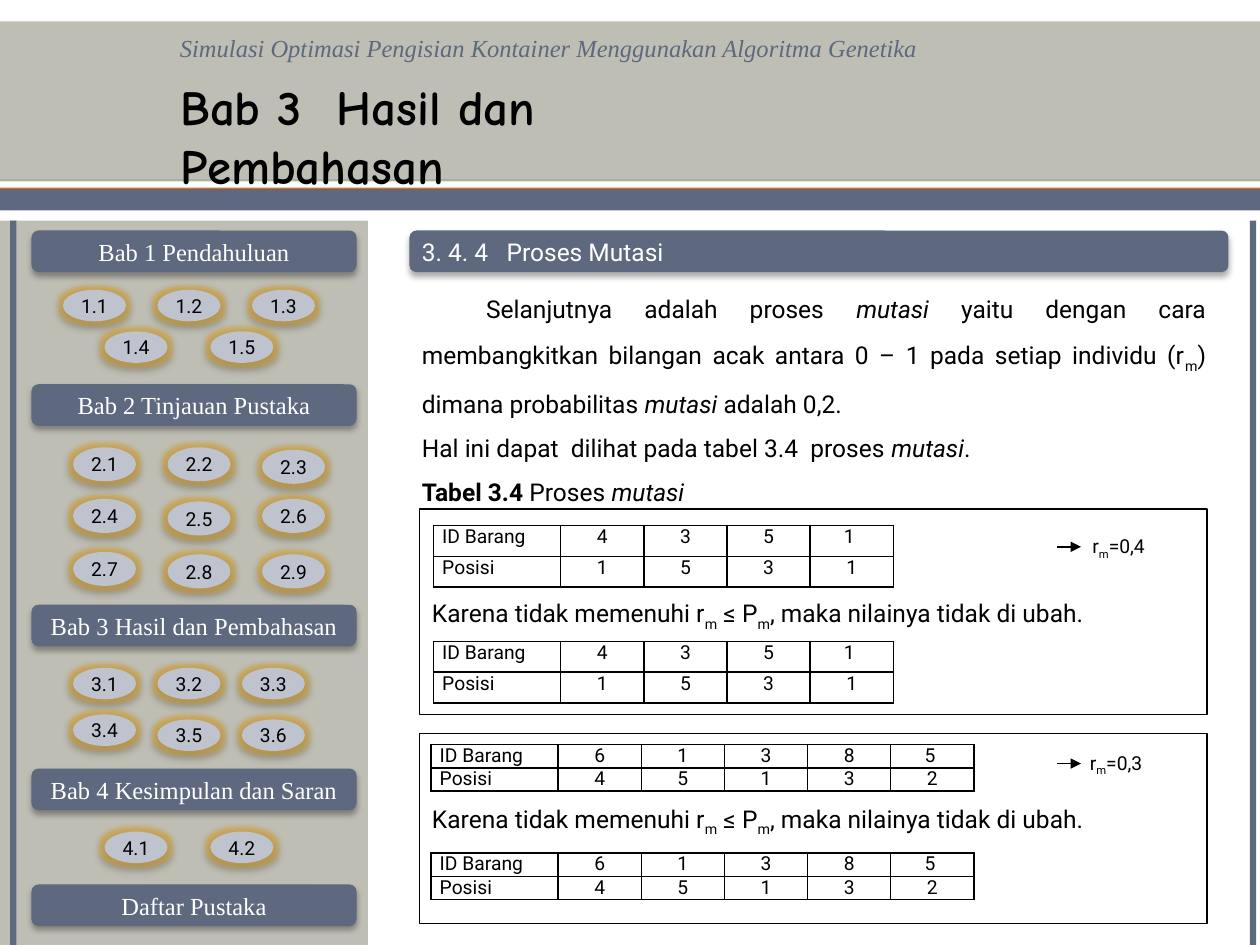
"""Build the thesis slide on the mutation process, with its chapter menu."""
from lxml import etree
from pptx import Presentation
from pptx import util as u
from pptx.dml.color import RGBColor
from pptx.enum import shapes, text
from pptx.oxml import ns

SLATE = RGBColor(0x5E, 0x68, 0x7E)
STONE = RGBColor(0xBE, 0xBE, 0xB4)
SAGE = RGBColor(0xAB, 0xB1, 0x9F)
ORANGE = RGBColor(0xF4, 0x68, 0x0B)
MIST = RGBColor(0xBE, 0xC3, 0xCE)
GOLD = RGBColor(0xD9, 0xA4, 0x33)
BLACK = RGBColor(0, 0, 0)
WHITE = RGBColor(255, 255, 255)
SERIF, SANS, COMIC = "Times New Roman", "Roboto", "Comic Neue"
LEFT, CENTER, JUSTIFY = text.PP_ALIGN.LEFT, text.PP_ALIGN.CENTER, text.PP_ALIGN.JUSTIFY
INSETS = (0.1, 0.05, 0.1, 0.05)

BANDS = [
    ((0, 0.18, 10, 1.26), SAGE),
    ((0, 1.49, 10, 0.16), ORANGE),
    ((0, 0.17, 10, 1.25), STONE),
    ((0, 1.5, 10, 0.17), SLATE),
    ((0, 1.75, 2.92, 5.75), STONE),
    ((0.08, 1.75, 0.05, 5.75), SLATE),
    ((9.92, 1.75, 0.05, 5.75), SLATE),
]
WIDE, PAIR, NARROW = (0.58, 1.33, 2.08), (0.83, 1.67), (0.58, 1.25, 1.92)
CHAPTERS = [
    ("Bab 1 Pendahuluan", 1.83, 0.25,
     [((0.5, 1.25, 2), (2.3, 2.3, 2.3)), (PAIR, (2.63, 2.63))]),
    ("Bab 2 Tinjauan Pustaka", 3.05, 0.27,
     [(WIDE, (3.55, 3.55, 3.57)), (WIDE, (3.96, 3.98, 3.96)), (WIDE, (4.38, 4.4, 4.4))]),
    ("Bab 3 Hasil dan Pembahasan", 4.8, 0.25,
     [(NARROW, (5.3, 5.3, 5.3)), (NARROW, (5.67, 5.71, 5.71))]),
    ("Bab 4 Kesimpulan dan Saran", 6.1, 0.25, [(PAIR, (6.6, 6.6))]),
    ("Daftar Pustaka", 7.02, 0.25, []),
]
BODY = [
    [("Selanjutnya adalah proses ", ""), ("mutasi", "i"),
     (" yaitu dengan cara membangkitkan bilangan acak antara 0 – 1 pada setiap individu (r", ""),
     ("m", "sub"), (") dimana probabilitas", ""), (" mutasi", "i"), (" adalah 0,2.", "")],
    [("Hal ini dapat  dilihat pada tabel 3.4  proses ", ""), ("mutasi", "i"), (".", "")],
    [("Tabel 3.4", "b"), (" Proses ", ""), ("mutasi", "i")],
]
REASON = [("Karena tidak memenuhi r", ""), ("m", "sub"), (" ≤ P", ""), ("m", "sub"),
          (", maka nilainya tidak di ubah.", "")]
CASES = [
    dict(box=(3.33, 4.04, 6.25, 1.63), text_top=0.71, rate="=0,4", rate_at=(8.67, 4.24),
         table_left=3.44, table_tops=(4.17, 5.09), row_height=0.245,
         rows=[["ID Barang", "4", "3", "5", "1 "], ["Posisi", "1", "5", "3", "1"]]),
    dict(box=(3.33, 5.82, 6.25, 1.51), text_top=0.56, rate="=0,3", rate_at=(8.65, 5.96),
         table_left=3.42, table_tops=(5.91, 6.77), row_height=0.185,
         rows=[["ID Barang", "6", "1", "3", "8", "5 "], ["Posisi", "4", "5", "1", "3", "2"]]),
]


def inches(values):
    return [u.Inches(value) for value in values]


def write(frame, paragraphs, size, font, color, align=LEFT, insets=INSETS, anchor=text.MSO_ANCHOR.TOP):
    frame.word_wrap = True
    frame.auto_size = text.MSO_AUTO_SIZE.NONE
    frame.vertical_anchor = anchor
    frame.margin_left, frame.margin_top, frame.margin_right, frame.margin_bottom = inches(insets)
    for index, pieces in enumerate(paragraphs):
        paragraph = frame.add_paragraph() if index else frame.paragraphs[0]
        paragraph.alignment = align
        for words, style in pieces:
            run = paragraph.add_run()
            run.text = words
            run.font.size, run.font.name = u.Pt(size), font
            run.font.color.rgb = color
            run.font.bold, run.font.italic = style == "b", style == "i"
            if style == "sub":
                run.font._element.set("baseline", "-25000")


def add_effects(shape, glow=False):
    effects = etree.SubElement(shape._element.spPr, ns.qn("a:effectLst"))
    if glow:
        halo = etree.SubElement(effects, ns.qn("a:glow"), rad=str(u.Pt(5)))
        color = etree.SubElement(halo, ns.qn("a:srgbClr"), val=str(GOLD))
        etree.SubElement(color, ns.qn("a:alpha"), val="60000")
    shadow = etree.SubElement(effects, ns.qn("a:outerShdw"), blurRad=str(u.Pt(3.5)),
                              dist=str(u.Pt(2.2)), dir="5400000", rotWithShape="0")
    color = etree.SubElement(shadow, ns.qn("a:srgbClr"), val="000000")
    etree.SubElement(color, ns.qn("a:alpha"), val="32000")


def add_block(slide, kind, box, fill=None):
    shape = slide.shapes.add_shape(kind, *inches(box))
    if fill is None:
        shape.fill.background()
        shape.line.color.rgb, shape.line.width = BLACK, u.Pt(0.75)
    else:
        shape.fill.solid()
        shape.fill.fore_color.rgb = fill
        shape.line.fill.background()
    return shape


def add_bar(slide, box):
    bar = add_block(slide, shapes.MSO_SHAPE.FLOWCHART_ALTERNATE_PROCESS, box, SLATE)
    add_effects(bar)
    return bar


def add_words(slide, box, paragraphs, *style, **options):
    frame = slide.shapes.add_textbox(*inches(box)).text_frame
    write(frame, paragraphs, *style, **options)
    return frame


def add_menu(slide):
    middle = text.MSO_ANCHOR.MIDDLE
    for chapter, (name, bar_top, height, rows) in enumerate(CHAPTERS, 1):
        bar = add_bar(slide, (0.25, bar_top, 2.58, 0.33))
        write(bar.text_frame, [[(name, "")]], 14, SERIF, WHITE, CENTER, anchor=middle)
        spots = [spot for lefts, tops in rows for spot in zip(lefts, tops)]
        for section, (left, top) in enumerate(spots, 1):
            button = add_block(slide, shapes.MSO_SHAPE.OVAL, (left, top, 0.5, height), MIST)
            add_effects(button, glow=True)
            write(button.text_frame, [[(f"{chapter}.{section}", "")]], 11, SANS, BLACK, CENTER,
                  (0, 0, 0, 0), middle)


def add_item_table(slide, left, top, rows, row_height):
    widths = [1.01] + [0.66] * (len(rows[0]) - 1)
    frame = slide.shapes.add_table(len(rows), len(widths),
                                   *inches((left, top, sum(widths), row_height * len(rows))))
    table = frame.table
    table.first_row = table.horz_banding = False
    for column, width in zip(table.columns, widths):
        column.width = u.Inches(width)
    for row, values in zip(table.rows, rows):
        row.height = u.Inches(row_height)
        for index, (cell, value) in enumerate(zip(row.cells, values)):
            write(cell.text_frame, [[(value, "")]], 11, SANS, BLACK, CENTER if index else LEFT)
            cell.margin_left = cell.margin_right = u.Inches(0.07)
            cell.margin_top = cell.margin_bottom = 0
            properties = cell._tc.get_or_add_tcPr()
            for side in ("lnL", "lnR", "lnT", "lnB"):
                border = etree.SubElement(properties, ns.qn(f"a:{side}"), w=str(u.Pt(1)))
                fill = etree.SubElement(border, ns.qn("a:solidFill"))
                etree.SubElement(fill, ns.qn("a:srgbClr"), val=str(BLACK))
            cell.fill.background()


def add_arrow(slide, left, right, y):
    arrow = slide.shapes.add_connector(shapes.MSO_CONNECTOR.STRAIGHT, *inches((left, y, right, y)))
    arrow.line.color.rgb, arrow.line.width = BLACK, u.Pt(1)
    etree.SubElement(arrow.line._get_or_add_ln(), ns.qn("a:tailEnd"), type="triangle")
    etree.SubElement(arrow._element.spPr, ns.qn("a:effectLst"))


def add_case(slide, case):
    left, top = case["rate_at"]
    add_arrow(slide, 8.39, 8.58, top + 0.1)
    add_words(slide, (left, top, 0.52, 0.34), [[("r", ""), ("m", "sub"), (case["rate"], "")]],
              11, SANS, BLACK, insets=(0, 0, 0, 0))
    box = add_block(slide, shapes.MSO_SHAPE.RECTANGLE, case["box"])
    box.shadow.inherit = False
    write(box.text_frame, [REASON], 14, SANS, BLACK, insets=(0.1, case["text_top"], 0.1, 0.05))
    for table_top in case["table_tops"]:
        add_item_table(slide, case["table_left"], table_top, case["rows"], case["row_height"])


def main():
    presentation = Presentation()
    presentation.slide_width, presentation.slide_height = inches((10, 7.5))
    slide = presentation.slides.add_slide(presentation.slide_layouts[5])
    for box, color in BANDS:
        add_block(slide, shapes.MSO_SHAPE.RECTANGLE, box, color).shadow.inherit = False
    add_words(slide, (1.33, 0.21, 8.67, 0.34),
              [[("Simulasi Optimasi Pengisian Kontainer Menggunakan Algoritma Genetika", "i")]],
              14, SERIF, SLATE)
    title = slide.shapes.title
    title.left, title.top, title.width, title.height = inches((1.33, 0.56, 5.17, 0.57))
    write(title.text_frame, [[("Bab 3  Hasil dan Pembahasan", "b")]], 28, COMIC, BLACK)
    slide.shapes._spTree.append(title._element)
    add_menu(slide)
    add_bar(slide, (3.25, 1.83, 6.5, 0.33))
    add_words(slide, (3.25, 1.83, 6.5, 0.34), [[("3. 4. 4   Proses Mutasi", "")]], 14, SANS, WHITE)
    body = add_words(slide, (3.25, 2.17, 6.42, 2.22), BODY, 14, SANS, BLACK, JUSTIFY)
    for paragraph in body.paragraphs:
        paragraph.line_spacing = 1.5
    body.paragraphs[0]._p.get_or_add_pPr().set("indent", str(u.Inches(0.51)))
    for case in CASES:
        add_case(slide, case)
    presentation.save("out.pptx")


if __name__ == "__main__":
    main()
